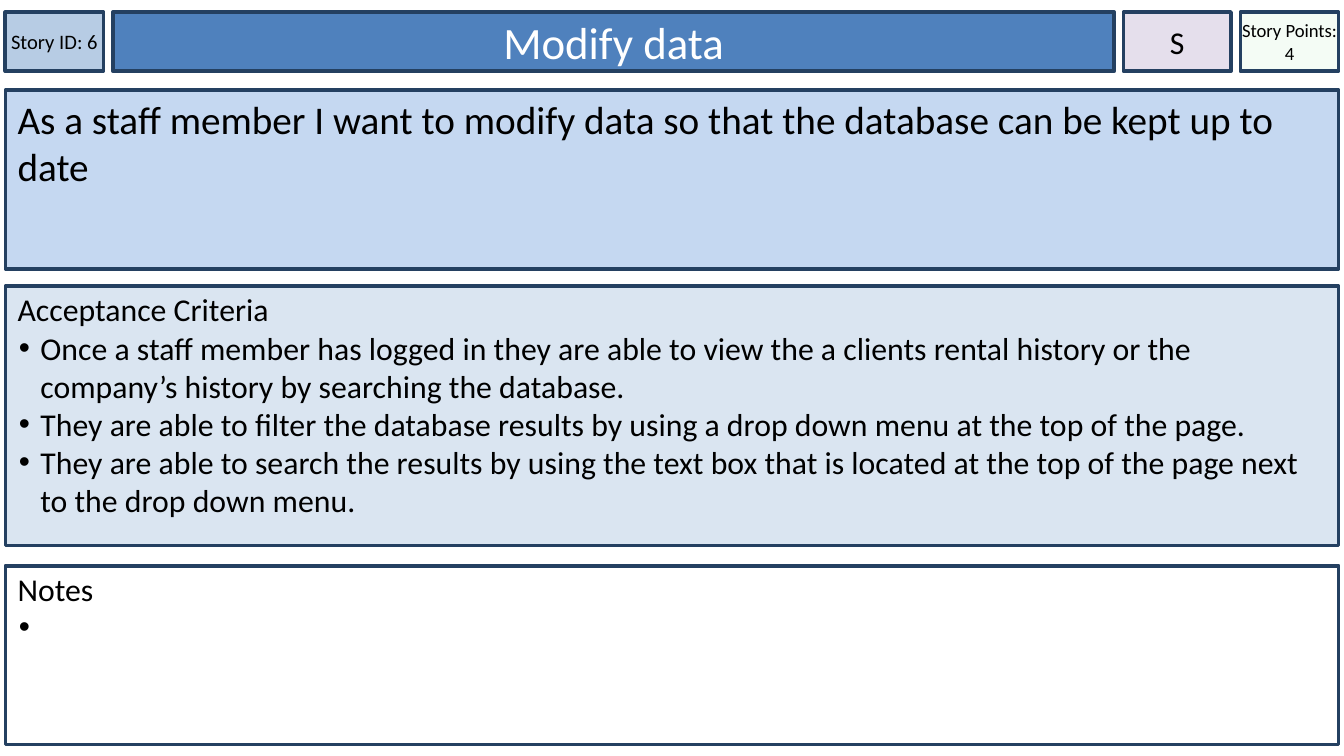
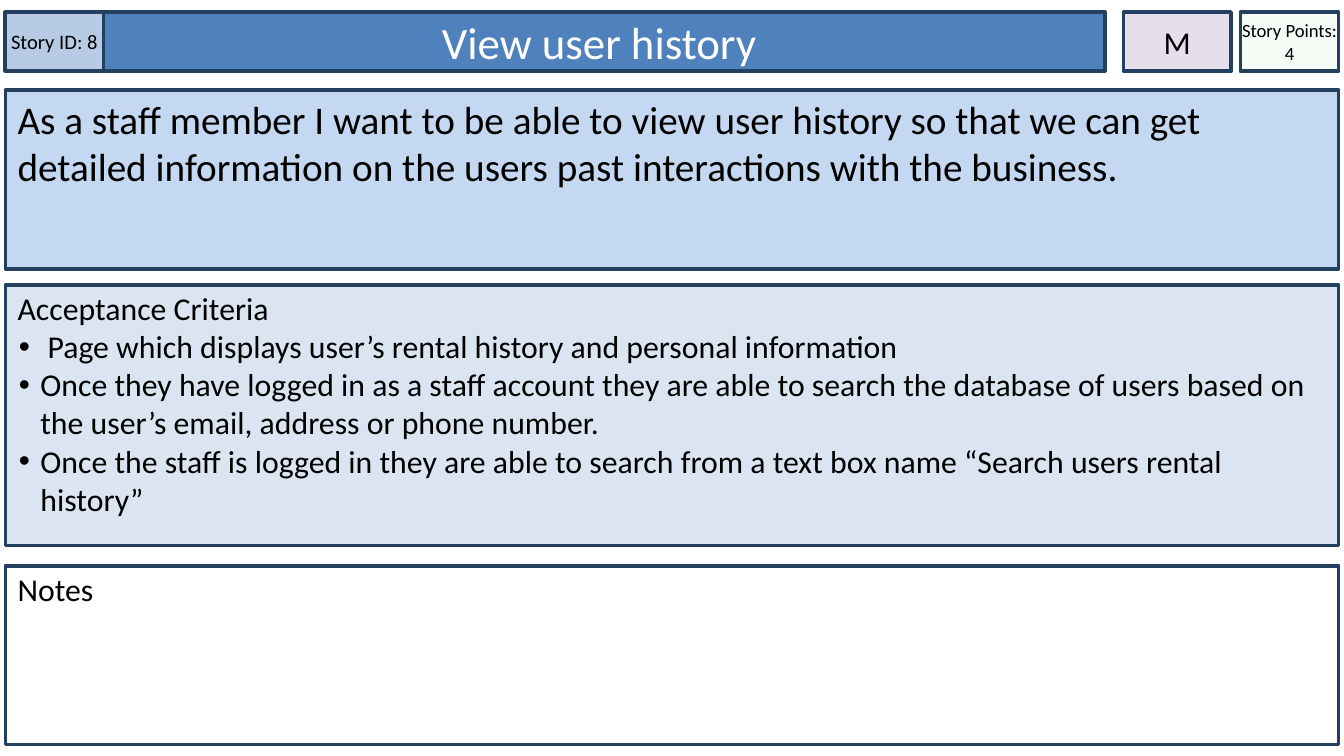
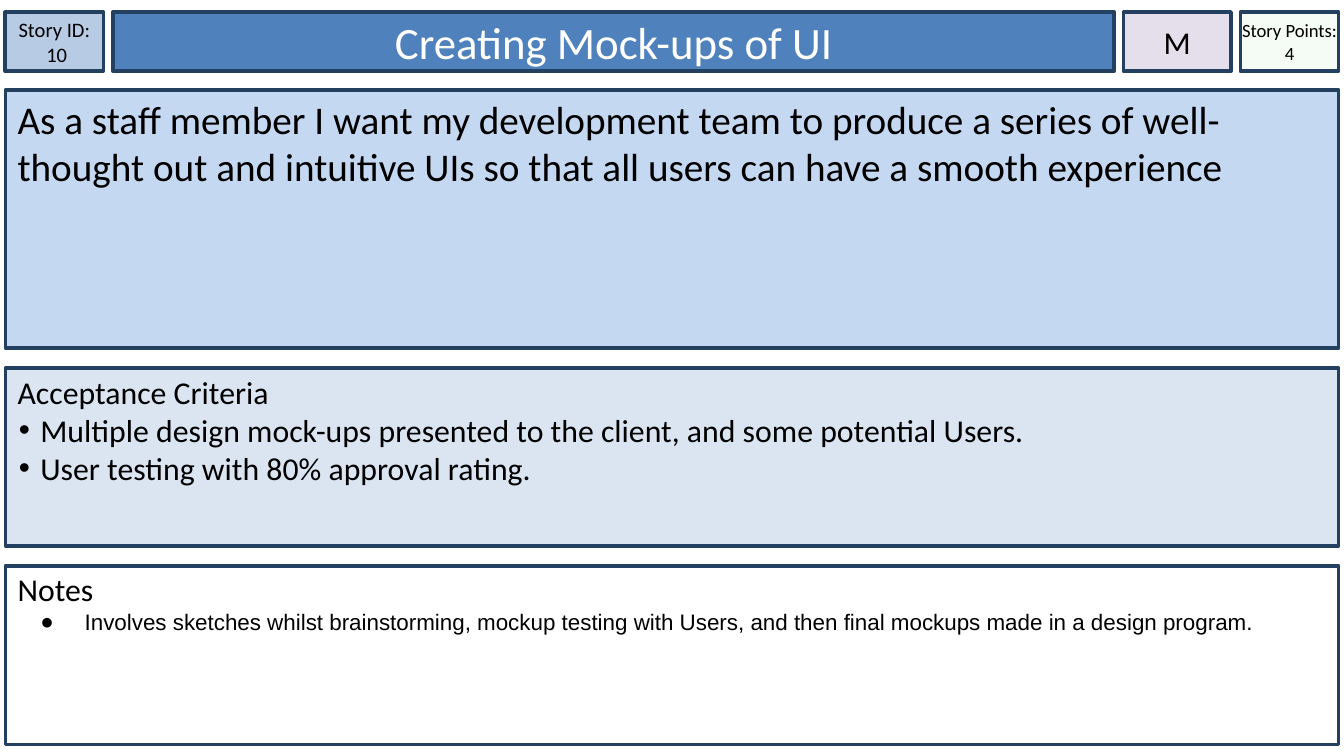
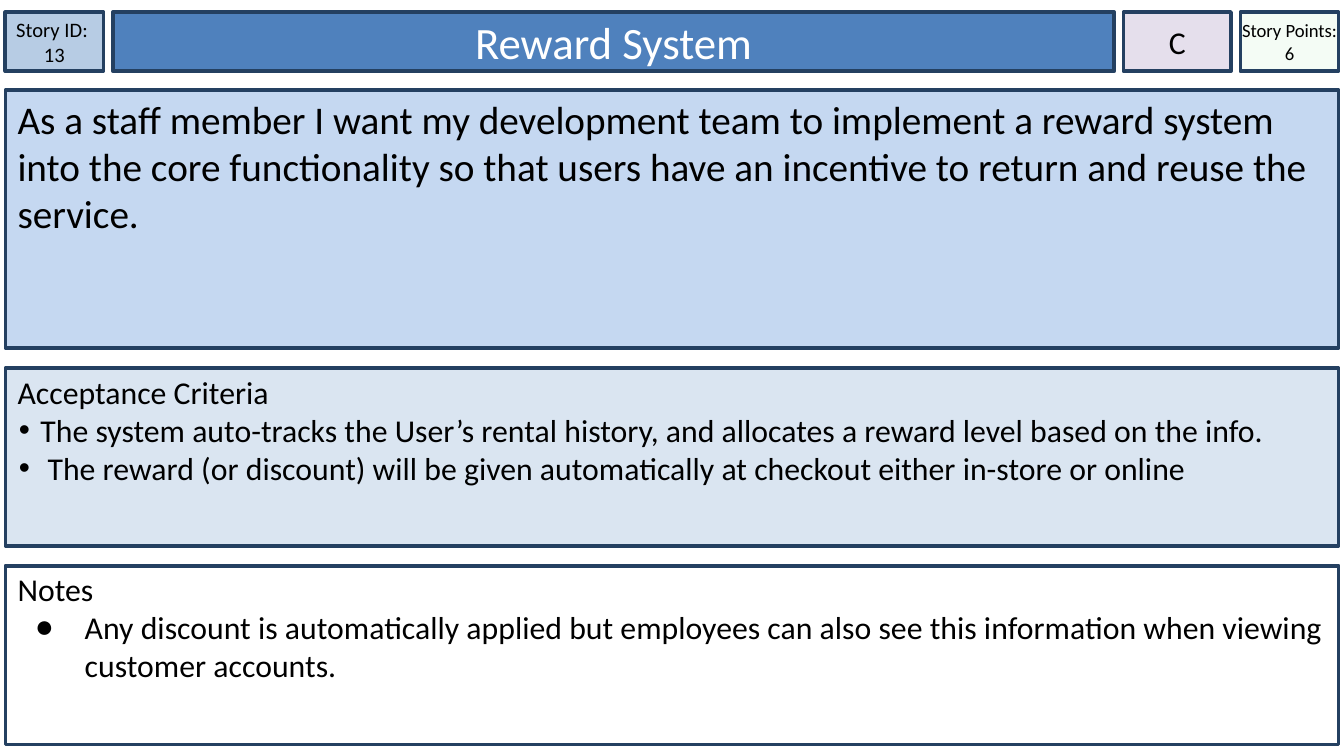
import pptx
import pptx.util
import pptx.dml.color
import pptx.enum.shapes
import pptx.enum.text
import pptx.oxml.ns
import lxml.etree

CARDS = [
    dict(
        id=["Story ID: 6"], title="Modify data", rank="S", points=4, lead=1, split=(1.33, 2.13),
        story="As a staff member I want to modify data so that the database can be kept up to date",
        tests=[
            "Once a staff member has logged in they are able to view the a clients rental history or the company’s history by searching the database.",
            "They are able to filter the database results by using a drop down menu at the top of the page.",
            "They are able to search the results by using the text box that is located at the top of the page next to the drop down menu.",
        ],
        notes=[(" ", "dot")],
    ),
    dict(
        id=["Story ID: 8"], title="View user history ", rank="M", points=4, lead=0, split=(1.33, 2.12),
        story="As a staff member I want to be able to view user history so that we can get detailed information on the users past interactions with the business.",
        tests=[
            " Page which displays user’s rental history and personal information",
            "Once they have logged in as a staff account they are able to search the database of users based on the user’s email, address or phone number.",
            "Once the staff is logged in they are able to search from a text box name “Search users rental history”",
        ],
        notes=[],
    ),
    dict(
        id=["Story ID:", " 10"], title="Creating Mock-ups of UI", rank="M", points=4, lead=1, split=(1.92, 2.74),
        story="As a staff member I want my development team to produce a series of well-thought out and intuitive UIs so that all users can have a smooth experience",
        tests=[
            "Multiple design mock-ups presented to the client, and some potential Users.",
            "User testing with 80% approval rating.",
        ],
        notes=[("Involves sketches whilst brainstorming, mockup testing with Users, and then final mockups made in a design program.", "small")],
    ),
    dict(
        id=["Story ID: ", "13"], title="Reward System", rank="C", points=6, lead=1, split=(1.92, 2.74),
        story="As a staff member I want my development team to implement a reward system into the core functionality so that users have an incentive to return and reuse the service.",
        tests=[
            "The system auto-tracks the User’s rental history, and allocates a reward level based on the info.",
            " The reward (or discount) will be given automatically at checkout either in-store or online",
        ],
        notes=[("Any discount is automatically applied but employees can also see this information when viewing customer accounts.", "large")],
    ),
]

HUES = dict(id="B7CCE4", title="4F81BD", rank="E5DFEC", points="CCF0CD", story="C5D8F1",
            tests="DAE5F1", notes="FFFFFF", edge="244061", ink="000000", pale="FFFFFF")
SIZES = dict(id=11, title=24, rank=17, points=10, story=21, tests=17, notes=17)
MARKS = dict(dot=("•", 0.17, -0.16), small=("●", 0.5, -0.33), large=("●", 0.5, -0.37))
FONTS = dict(small=("Arial", 12))
WIDE = 10
HIGH = WIDE * 9 / 16
EDGE, GAP = 0.04, 0.07
FULL = WIDE - 2 * EDGE
COLS = dict(id=0.73, title=7.45, rank=0.8, points=0.73)
HEAD = (0.09, 0.44)
BODY, FLOOR = 0.67, 4.06
NOTES = (4.21, 1.33)

Inch = pptx.util.Inches
ANCHOR = pptx.enum.text.MSO_ANCHOR
ALIGN = pptx.enum.text.PP_ALIGN


def hue(name):
    return pptx.dml.color.RGBColor.from_string(HUES[name])


def put(item, vals):
    for key, val in vals.items():
        setattr(item, key, val)


def node(base, tag, **vals):
    return lxml.etree.SubElement(base, pptx.oxml.ns.qn(tag), vals)


def mark(para, kind):
    sign, left, dent = MARKS[kind]
    prop = para._p.get_or_add_pPr()
    prop.set("marL", str(Inch(left)))
    prop.set("indent", str(Inch(dent)))
    node(node(prop, "a:buClr"), "a:srgbClr", val=HUES["ink"])
    node(prop, "a:buFont", typeface="Arial")
    node(prop, "a:buChar", char=sign)


def draw(slide, part, spot, lines):
    box = slide.shapes.add_shape(pptx.enum.shapes.MSO_SHAPE.RECTANGLE, *map(Inch, spot))
    box.shadow.inherit = False
    box.fill.solid()
    box.fill.fore_color.rgb = hue(part)
    if part == "points":
        tint = box.fill._xPr.find(".//" + pptx.oxml.ns.qn("a:srgbClr"))
        node(tint, "a:alpha", val="20000")
    box.line.color.rgb = hue("edge")
    box.line.width = pptx.util.Pt(2)
    head = part in COLS
    side = 0.09 if part in ("title", "story", "tests", "notes") else 0
    top = 0.03 if part in ("tests", "notes") else 0.04
    frame = box.text_frame
    put(frame, dict(word_wrap=True, margin_left=Inch(side), margin_right=Inch(side),
                    margin_top=Inch(top), margin_bottom=Inch(0.04),
                    vertical_anchor=ANCHOR.MIDDLE if head else ANCHOR.TOP))
    for i, (text, kind) in enumerate(lines):
        para = frame.add_paragraph() if i else frame.paragraphs[0]
        para.alignment = ALIGN.CENTER if head else ALIGN.LEFT
        if kind:
            mark(para, kind)
        run = para.add_run()
        run.text = text
        face, size = FONTS.get(kind, ("Calibri", SIZES[part]))
        put(run.font, dict(name=face, size=pptx.util.Pt(size)))
        run.font.color.rgb = hue("pale" if part == "title" else "ink")


def build(slide, card):
    tall, start = card["split"]
    text = dict(
        id=[(line, None) for line in card["id"]],
        title=[(card["title"], None)],
        rank=[(card["rank"], None)],
        points=[(f"Story Points: {card['points']}", None)],
        story=[(card["story"], None)],
        tests=[("Acceptance Criteria", None)] + [(line, "dot") for line in card["tests"]],
        notes=[("Notes", None)] + card["notes"],
    )
    left = EDGE
    for part, width in COLS.items():
        shift = GAP if part == "title" and not card["lead"] else 0
        draw(slide, part, (left - shift, HEAD[0], width, HEAD[1]), text[part])
        left += width + GAP
    rows = dict(story=(BODY, tall), tests=(start, FLOOR - start), notes=NOTES)
    for part, (top, height) in rows.items():
        draw(slide, part, (EDGE, top, FULL, height), text[part])


def main():
    deck = pptx.Presentation()
    put(deck, dict(slide_width=Inch(WIDE), slide_height=Inch(HIGH)))
    for card in CARDS:
        build(deck.slides.add_slide(deck.slide_layouts[6]), card)
    deck.save("out.pptx")


if __name__ == "__main__":
    main()
